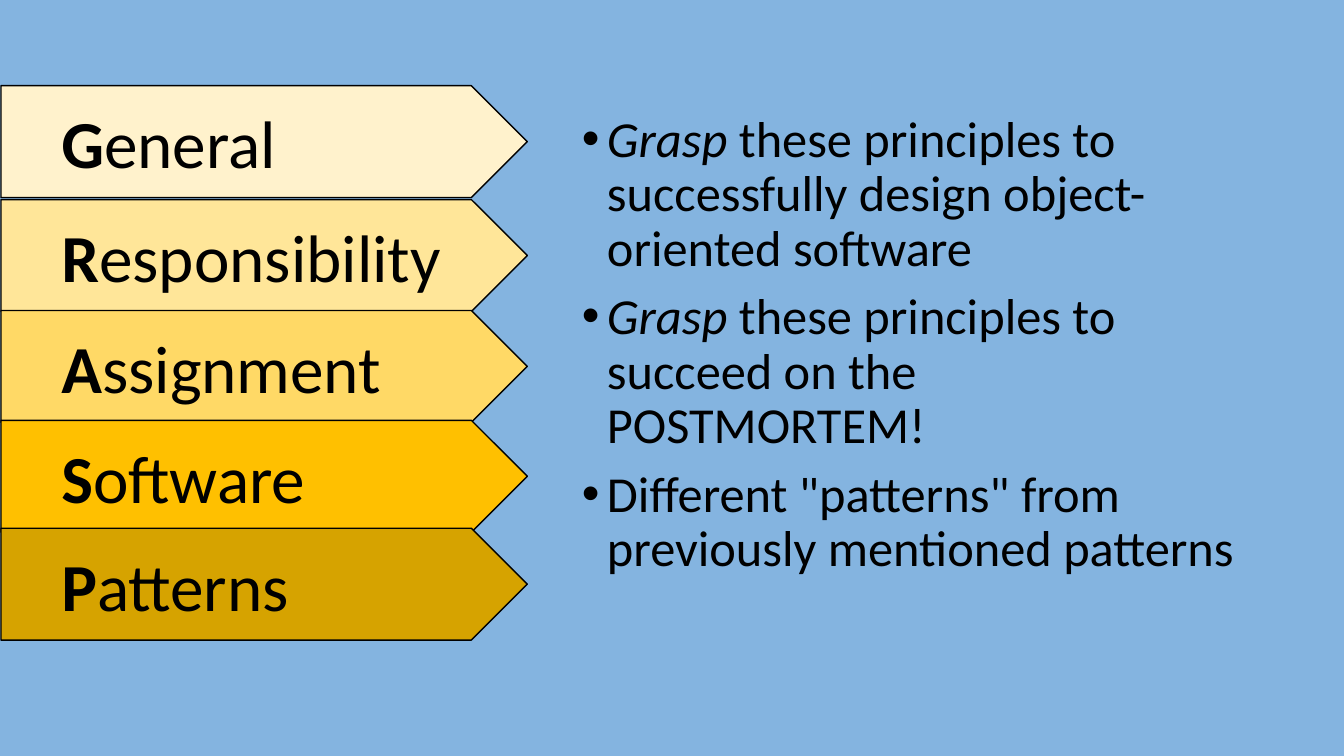
from lxml.etree import SubElement
from pptx import Presentation
from pptx.dml.color import RGBColor
from pptx.enum.shapes import MSO_SHAPE
from pptx.enum.text import MSO_ANCHOR, MSO_AUTO_SIZE, PP_ALIGN
from pptx.oxml.ns import qn
from pptx.util import Inches, Pt

COLORS = {"background": "84B4E0", "ink": "000000"}
FONT = "Calibri"
ARROWS = [
    ("General", "FFF2CC", 0),
    ("Responsibility", "FFE699", 1.13),
    ("Assignment", "FFD966", 2.23),
    ("Software", "FFC000", 3.32),
    ("Patterns", "D6A300", 4.39),
]
BULLETS = [
    ("Grasp", " these principles to successfully design object-oriented software"),
    ("Grasp", " these principles to succeed on the POSTMORTEM!"),
    ("", "Different \"patterns\" from previously mentioned patterns"),
]


def add_run(p, text, size, bold=False, italic=False):
    """Append one formatted run to a paragraph."""
    r = p.add_run()
    r.text = text
    r.font.name = FONT
    r.font.size = Pt(size)
    r.font.bold = bold
    r.font.italic = italic
    r.font.color.rgb = RGBColor.from_string(COLORS["ink"])


def set_indent(p, left, first):
    """Set the left margin and first-line indent of a paragraph in inches."""
    pPr = p._p.get_or_add_pPr()
    pPr.set("marL", str(Inches(left)))
    pPr.set("indent", str(Inches(first)))
    return pPr


def add_acronym(s, left, top, width, height):
    """Stack the arrows that spell the acronym."""
    for word, fill, offset in ARROWS:
        sp = s.shapes.add_shape(
            MSO_SHAPE.PENTAGON, Inches(left), Inches(top + offset), Inches(width), Inches(height)
        )
        sp.shadow.inherit = False
        sp.fill.solid()
        sp.fill.fore_color.rgb = RGBColor.from_string(fill)
        sp.line.color.rgb = RGBColor.from_string(COLORS["ink"])
        sp.line.width = Pt(1)
        tf = sp.text_frame
        tf.word_wrap = True
        tf.vertical_anchor = MSO_ANCHOR.MIDDLE
        p = tf.paragraphs[0]
        p.alignment = PP_ALIGN.LEFT
        p.level = 1
        set_indent(p, 0.5, 0)
        add_run(p, word[0], 48, bold=True)
        add_run(p, word[1:], 48)


def fill_body(sp, left, top, width, height):
    """Place the body placeholder and write its bullets."""
    sp.left, sp.top, sp.width, sp.height = map(Inches, (left, top, width, height))
    tf = sp.text_frame
    tf.word_wrap = True
    tf.auto_size = MSO_AUTO_SIZE.NONE
    for i, (lead, rest) in enumerate(BULLETS):
        p = tf.add_paragraph() if i else tf.paragraphs[0]
        p.line_spacing = 0.9
        p.space_before = Pt(10)
        pPr = set_indent(p, 0.25, -0.25)
        SubElement(pPr, qn("a:buFont"), typeface="Arial")
        SubElement(pPr, qn("a:buChar"), char="•")
        if lead:
            add_run(p, lead, 36, italic=True)
        add_run(p, rest, 36)


def main():
    """Build the slide and save it."""
    prs = Presentation()
    prs.slide_width, prs.slide_height = Inches(13.33), Inches(7.5)
    s = prs.slides.add_slide(prs.slide_layouts[1])
    s.background.fill.solid()
    s.background.fill.fore_color.rgb = RGBColor.from_string(COLORS["background"])
    title = s.shapes.title._element
    title.getparent().remove(title)
    fill_body(s.placeholders[1], 5.67, 1.08, 6.75, 5.33)
    add_acronym(s, 0.01, 0.85, 5.22, 1.11)
    prs.save("out.pptx")


if __name__ == "__main__":
    main()
